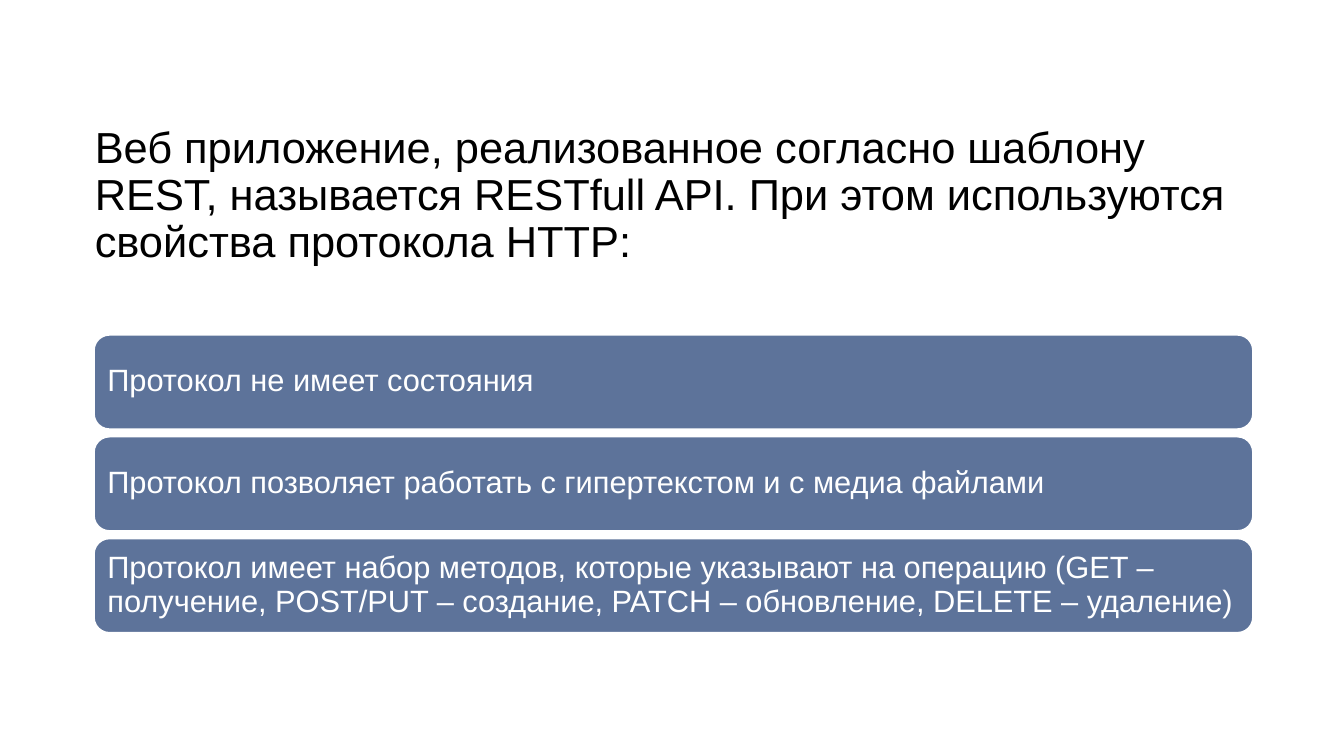
from pptx import Presentation
from pptx.dml.color import RGBColor
from pptx.enum.shapes import MSO_SHAPE
from pptx.enum.text import MSO_ANCHOR, MSO_AUTO_SIZE, PP_ALIGN
from pptx.util import Inches, Pt

TITLE = ("Веб приложение, реализованное согласно шаблону REST, называется "
         "RESTfull API. При этом используются свойства протокола HTTP:")
PROPERTIES = [
    "Протокол не имеет состояния",
    "Протокол позволяет работать с гипертекстом и с медиа файлами",
    "Протокол имеет набор методов, которые указывают на операцию (GET – "
    "получение, POST/PUT – создание, PATCH – обновление, DELETE – удаление)",
]


def color(hex_string):
    return RGBColor.from_string(hex_string)


def write_text(shape, text, size, hex_string, inset):
    frame = shape.text_frame
    frame.word_wrap = True
    frame.auto_size = MSO_AUTO_SIZE.NONE
    frame.vertical_anchor = MSO_ANCHOR.MIDDLE
    frame.margin_left = frame.margin_right = Inches(inset)
    frame.margin_top = frame.margin_bottom = Inches(inset)
    paragraph = frame.paragraphs[0]
    paragraph.alignment = PP_ALIGN.LEFT
    paragraph.line_spacing = 0.9
    run = paragraph.add_run()
    run.text = text
    run.font.name = "Arial"
    run.font.size = Pt(size)
    run.font.color.rgb = color(hex_string)


def place_title(slide, left, top, width, height):
    title = slide.shapes.title
    title.left, title.top = Inches(left), Inches(top)
    title.width, title.height = Inches(width), Inches(height)
    write_text(title, TITLE, 31, "000000", inset=0)


def add_property_bars(slide, left, top, width, height, gap=0.07):
    bar_height = (height - gap * (len(PROPERTIES) - 1)) / len(PROPERTIES)
    for index, text in enumerate(PROPERTIES):
        bar_top = top + index * (bar_height + gap)
        bar = slide.shapes.add_shape(
            MSO_SHAPE.ROUNDED_RECTANGLE, Inches(left), Inches(bar_top),
            Inches(width), Inches(bar_height))
        bar.shadow.inherit = False
        bar.fill.solid()
        bar.fill.fore_color.rgb = color("5D739A")
        bar.line.color.rgb = color("FFFFFF")
        bar.line.width = Pt(1.5)
        write_text(bar, text, 22, "FFFFFF", inset=0.09)


presentation = Presentation()
presentation.slide_width = Inches(13.33)
presentation.slide_height = Inches(7.5)

# Title-only slide on white
slide = presentation.slides.add_slide(presentation.slide_layouts[5])
slide.background.fill.solid()
slide.background.fill.fore_color.rgb = color("FFFFFF")

# Heading above the stacked protocol properties
place_title(slide, 0.94, 1.22, 11.5, 1.45)
add_property_bars(slide, 0.93, 3.32, 11.5, 2.96)

presentation.save("out.pptx")
